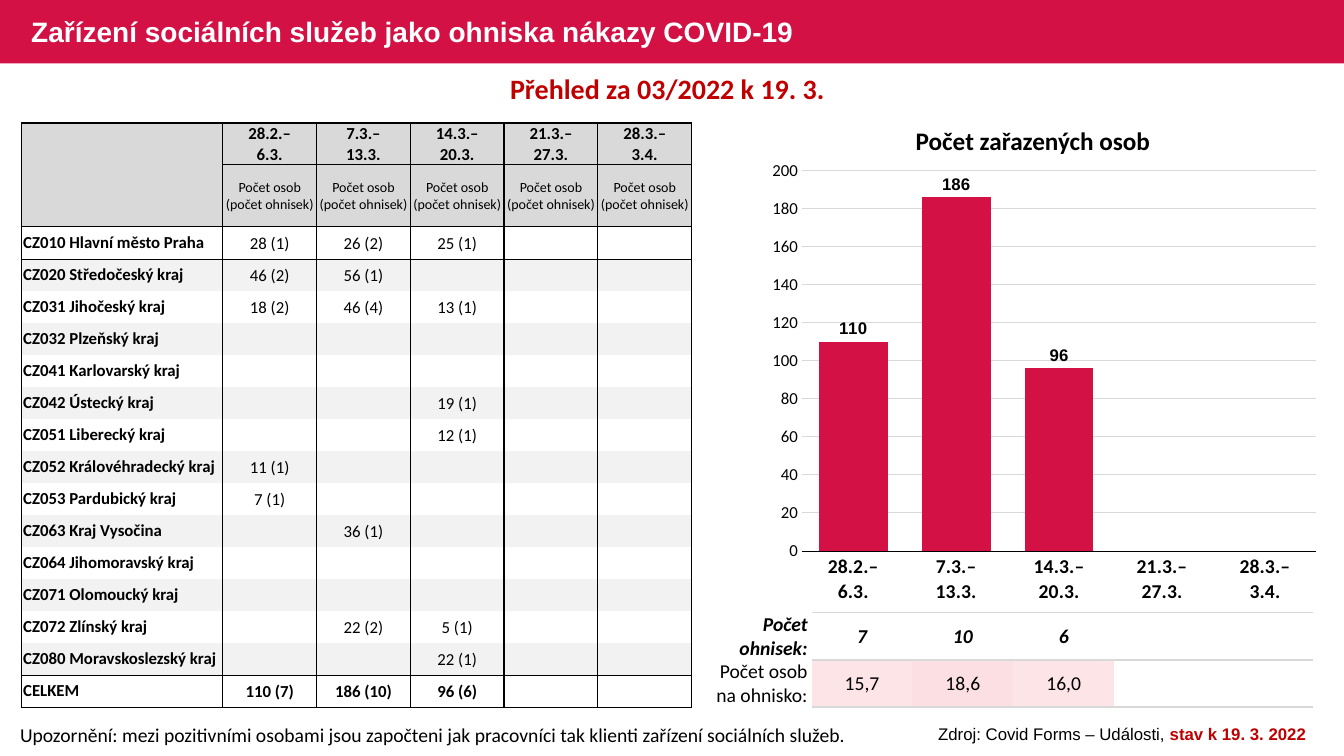
from lxml import etree
from pptx import Presentation
from pptx.chart.data import CategoryChartData
from pptx.dml.color import RGBColor
from pptx.enum.chart import XL_CHART_TYPE, XL_LABEL_POSITION, XL_TICK_MARK
from pptx.enum.shapes import MSO_SHAPE
from pptx.enum.text import MSO_ANCHOR, MSO_AUTO_SIZE, PP_ALIGN
from pptx.oxml import parse_xml
from pptx.oxml.ns import nsdecls, qn
from pptx.util import Inches, Pt

LEFT, CENTER, RIGHT = PP_ALIGN.LEFT, PP_ALIGN.CENTER, PP_ALIGN.RIGHT
MIDDLE = MSO_ANCHOR.MIDDLE
NO_TICK = XL_TICK_MARK.NONE
CRIMSON, DARK_RED, BLACK, WHITE = "D31145", "C00000", "000000", "FFFFFF"
HEADER_GREY, BAND_GREY, LINE_GREY = "D9D9D9", "F2F2F2", "D9D9D9"
PLAIN_TABLE_STYLE = "{2D5ABB26-0587-4C30-8999-92F81FD0307C}"
LABEL_MARGINS, VALUE_MARGINS = (0.02, 0, 0.02, 0), (0.01, 0.01, 0.01, 0)
SIDE_MARGINS = (0.01, 0, 0.04, 0)

WEEKS = ["28.2.–\n6.3.", "7.3.–\n13.3.", "14.3.–\n20.3.", "21.3.–\n27.3.", "28.3.–\n3.4."]
PERSONS = [110, 186, 96, None, None]
REGIONS = [
    ["CZ010 Hlavní město Praha", "28 (1)", "26 (2)", "25 (1)"],
    ["CZ020 Středočeský kraj", "46 (2)", "56 (1)", ""],
    ["CZ031 Jihočeský kraj", "18 (2)", "46 (4)", "13 (1)"],
    ["CZ032 Plzeňský kraj", "", "", ""],
    ["CZ041 Karlovarský kraj", "", "", ""],
    ["CZ042 Ústecký kraj", "", "", "19 (1)"],
    ["CZ051 Liberecký kraj", "", "", "12 (1)"],
    ["CZ052 Královéhradecký kraj", "11 (1)", "", ""],
    ["CZ053 Pardubický kraj", "7 (1)", "", ""],
    ["CZ063 Kraj Vysočina", "", "36 (1)", ""],
    ["CZ064 Jihomoravský kraj", "", "", ""],
    ["CZ071 Olomoucký kraj", "", "", ""],
    ["CZ072 Zlínský kraj", "", "22 (2)", "5 (1)"],
    ["CZ080 Moravskoslezský kraj", "", "", "22 (1)"],
    ["CELKEM", "110 (7)", "186 (10)", "96 (6)"],
]


def color(value):
    """Turn a hex string into a colour."""
    return RGBColor.from_string(value)


def set_font(font, size, hex_color=BLACK, name="Calibri", bold=False, italic=False):
    """Apply size, colour, typeface and emphasis to a font."""
    values = {"size": Pt(size), "name": name, "bold": bold, "italic": italic}
    for attribute, value in values.items():
        setattr(font, attribute, value)
    font.color.rgb = color(hex_color)


def add_text(slide, box, pieces, align=LEFT):
    """Add a one-paragraph text box made of (text, format) pieces."""
    shape = slide.shapes.add_textbox(*map(Inches, box))
    frame = shape.text_frame
    frame.word_wrap = True
    frame.auto_size = MSO_AUTO_SIZE.SHAPE_TO_FIT_TEXT
    paragraph = frame.paragraphs[0]
    paragraph.alignment = align
    for text, style in pieces:
        run = paragraph.add_run()
        run.text = text
        set_font(run.font, **style)


def set_borders(cell, borders):
    """Draw borders given as {side: (colour, width)}."""
    properties = cell._tc.get_or_add_tcPr()
    for side in "LRTB":
        if side in borders:
            hex_color, width = borders[side]
            line = etree.SubElement(properties, qn("a:ln" + side), w=str(Pt(width)))
            fill = etree.SubElement(line, qn("a:solidFill"))
            etree.SubElement(fill, qn("a:srgbClr"), val=hex_color)


def fill_cell(cell, text="", size=12, bold=False, italic=False, align=CENTER,
              margins=VALUE_MARGINS, fill=None, borders=None):
    """Write and format one table cell."""
    set_borders(cell, borders or {})
    cell.vertical_anchor = MIDDLE
    for side, margin in zip(("left", "top", "right", "bottom"), margins):
        setattr(cell, "margin_" + side, Inches(margin))
    if fill:
        cell.fill.solid()
        cell.fill.fore_color.rgb = color(fill)
    else:
        cell.fill.background()
    paragraph = cell.text_frame.paragraphs[0]
    paragraph.text = text
    paragraph.alignment = align
    for run in paragraph.runs:
        set_font(run.font, size, bold=bold, italic=italic)
    for line_break in paragraph._p.findall(qn("a:br")):
        etree.SubElement(line_break, qn("a:rPr"), sz=str(size * 100))


def add_plain_table(slide, left, top, widths, heights):
    """Add an unstyled table with the given columns and rows."""
    frame = slide.shapes.add_table(len(heights), len(widths), Inches(left), Inches(top),
                                   Inches(sum(widths)), Inches(sum(heights)))
    table = frame.table
    table.first_row = table.horz_banding = False
    table._tbl.tblPr.find(qn("a:tableStyleId")).text = PLAIN_TABLE_STYLE
    for column, width in zip(table.columns, widths):
        column.width = Inches(width)
    for row, height in zip(table.rows, heights):
        row.height = Inches(height)
    return table


def add_region_table(slide):
    """Add the table of persons and outbreaks by region and week."""
    header_heights = [0.41, 0.62]
    row_height = (5.8 - sum(header_heights)) / len(REGIONS)
    table = add_plain_table(slide, 0.21, 1.22, [2] + [0.93] * len(WEEKS),
                            header_heights + [row_height] * len(REGIONS))
    rows = [[""] + WEEKS, [""] + ["Počet osob (počet ohnisek)"] * len(WEEKS)]
    rows += [region + ["", ""] for region in REGIONS]
    last = len(rows) - 1
    thick, thin = (BLACK, 1), (BLACK, 0.5)
    top_lines = {0: thick, 1: thick, 2: thin, last: thick}
    bottom_lines = {0: thick, 1: thin, last - 1: thick, last: thick}
    for i, row in enumerate(rows):
        band = BAND_GREY if i % 2 and i < last else None
        for j, text in enumerate(row):
            borders = {"L": thick, "R": thick}
            if i in top_lines and (i, j) != (1, 0):
                borders["T"] = top_lines[i]
            if i in bottom_lines and (i, j) != (0, 0):
                borders["B"] = bottom_lines[i]
            fill_cell(table.cell(i, j), text, size=10 if i == 1 else 12,
                      bold=i in (0, last) or j == 0,
                      align=CENTER if j else LEFT,
                      margins=VALUE_MARGINS if j else LABEL_MARGINS,
                      fill=HEADER_GREY if i < 2 else band, borders=borders)


def add_outbreak_values(slide):
    """Add the weekly outbreak counts below the chart."""
    table = add_plain_table(slide, 8.05, 6.08, [1] * 5, [0.465] * 2)
    rows = [["7", "10", "6", "", ""], ["15,7", "18,6", "16,0", "", ""]]
    fills = [[None] * 5, ["FCE4E7", "FCDFE2", "FCE4E7", None, None]]
    for i, row in enumerate(rows):
        for j, text in enumerate(row):
            fill_cell(table.cell(i, j), text, 14, i == 0, i == 0, fill=fills[i][j])


def add_outbreak_labels(slide):
    """Add the row labels and rules of the outbreak counts."""
    table = add_plain_table(slide, 7.04, 6.08, [1.01] + [0.71] * 7, [0.465] * 2)
    rule = (LINE_GREY, 1)
    for i, label in enumerate(["Počet ohnisek:", "Počet osob na ohnisko:"]):
        fill_cell(table.cell(i, 0), label, 14, i == 0, i == 0, RIGHT, SIDE_MARGINS)
        for j in range(1, 8):
            fill_cell(table.cell(i, j), borders={"T": rule, "B": rule})


def add_person_chart(slide):
    """Add the column chart of persons by week."""
    data = CategoryChartData()
    data.categories = WEEKS
    data.add_series("Počet osob", PERSONS)
    box = map(Inches, (7.56, 1.51, 5.61, 4.55))
    chart = slide.shapes.add_chart(XL_CHART_TYPE.COLUMN_CLUSTERED, *box, data).chart
    chart.has_legend = chart.has_title = False
    set_font(chart.font, 14, name="Arial", bold=True)
    weeks, counts = chart.category_axis, chart.value_axis
    weeks.major_tick_mark = counts.major_tick_mark = NO_TICK
    set_font(weeks.tick_labels.font, 14, bold=True)
    set_font(counts.tick_labels.font, 12)
    weeks.format.line.color.rgb = color(BLACK)
    counts.format.line.fill.background()
    counts.minimum_scale, counts.maximum_scale, counts.major_unit = 0, 200, 20
    for line, hex_color in ((weeks.format.line, BLACK),
                            (counts.major_gridlines.format.line, LINE_GREY)):
        line.color.rgb = color(hex_color)
        line.width = Pt(0.75)
    plot = chart.plots[0]
    plot.gap_width, plot.vary_by_categories = 50, False
    series = plot.series[0]
    series.format.fill.solid()
    series.format.fill.fore_color.rgb = color(CRIMSON)
    labels = series.data_labels
    labels.show_value = True
    labels.position = XL_LABEL_POSITION.OUTSIDE_END
    set_font(labels.font, 12, name="Arial", bold=True)
    area = chart._chartSpace.chart.plotArea
    for layout in area.findall(qn("c:layout")):
        area.remove(layout)
    sizes = "".join(f'<c:{key} val="{value}"/>' for key, value in (
        ("layoutTarget", "inner"), ("xMode", "edge"), ("yMode", "edge"),
        ("x", 0.07), ("y", 0.04), ("w", 0.91), ("h", 0.83)))
    area.insert(0, parse_xml(f'<c:layout {nsdecls("c")}><c:manualLayout>{sizes}'
                             '</c:manualLayout></c:layout>'))


def add_title(slide):
    """Fill the title placeholder and put the crimson band behind it."""
    band = slide.shapes.add_shape(MSO_SHAPE.RECTANGLE, 0, 0, Inches(13.33), Inches(0.63))
    band.shadow.inherit = False
    band.fill.solid()
    band.fill.fore_color.rgb = color(CRIMSON)
    band.line.fill.background()
    slide.shapes._spTree.insert(2, band._element)
    title = slide.shapes.title
    for side, value in zip(("left", "top", "width", "height"), (0.21, 0.02, 8.13, 0.63)):
        setattr(title, side, Inches(value))
    frame = title.text_frame
    frame.text = "Zařízení sociálních služeb jako ohniska nákazy COVID-19"
    frame.vertical_anchor = MIDDLE
    frame.auto_size = MSO_AUTO_SIZE.NONE
    paragraph = frame.paragraphs[0]
    paragraph.alignment, paragraph.line_spacing = LEFT, 0.9
    set_font(paragraph.runs[0].font, 20, WHITE, "Arial", True)


def main():
    """Build and save the slide."""
    presentation = Presentation()
    presentation.slide_width, presentation.slide_height = Inches(13.33), Inches(7.5)
    slide = presentation.slides.add_slide(presentation.slide_layouts[5])
    add_title(slide)
    add_outbreak_values(slide)
    add_text(slide, (0.1, 7.12, 8.52, 0.34), [(
        "Upozornění: mezi pozitivními osobami jsou započteni jak pracovníci "
        "tak klienti zařízení sociálních služeb.", {"size": 14})])
    add_text(slide, (0.21, 0.66, 12.82, 0.44), [(
        "Přehled za 03/2022 k 19. 3.",
        {"size": 20, "hex_color": DARK_RED, "bold": True})], CENTER)
    source = {"size": 12, "name": "Arial"}
    add_text(slide, (9.03, 7.13, 4.2, 0.3), [
        ("Zdroj: Covid Forms – Události, ", source),
        ("stav k 19. 3. 2022", {**source, "hex_color": DARK_RED, "bold": True})], CENTER)
    add_region_table(slide)
    add_person_chart(slide)
    add_text(slide, (7.56, 1.19, 5.37, 0.4), [
        ("Počet zařazených osob", {"size": 18, "bold": True})], CENTER)
    add_outbreak_labels(slide)
    presentation.save("out.pptx")


if __name__ == "__main__":
    main()
